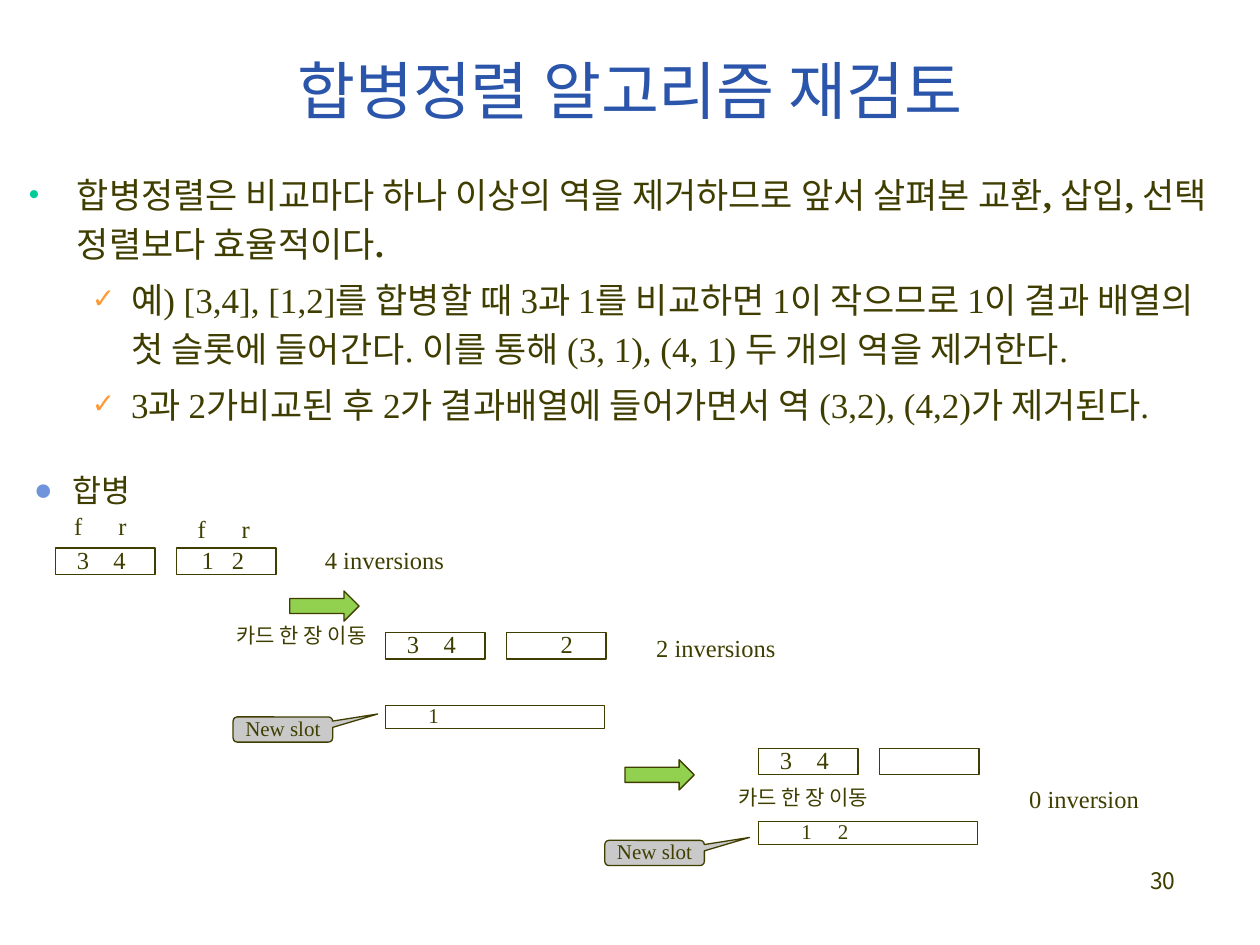
from lxml import etree
from pptx import Presentation
from pptx.dml.color import RGBColor
from pptx.enum.shapes import MSO_SHAPE
from pptx.enum.text import MSO_ANCHOR, MSO_AUTO_SIZE, PP_ALIGN
from pptx.oxml.ns import qn
from pptx.util import Inches, Pt

RECT = MSO_SHAPE.RECTANGLE
ARROW = MSO_SHAPE.RIGHT_ARROW
CALLOUT = MSO_SHAPE.ROUNDED_RECTANGULAR_CALLOUT
MIDDLE, TOP = MSO_ANCHOR.MIDDLE, MSO_ANCHOR.TOP
LEFT, CENTER, RIGHT = PP_ALIGN.LEFT, PP_ALIGN.CENTER, PP_ALIGN.RIGHT
NO_FIT, GROW = MSO_AUTO_SIZE.NONE, MSO_AUTO_SIZE.SHAPE_TO_FIT_TEXT

SERIF, SANS, KOREAN = "Times New Roman", "Arial", "Noto Sans CJK KR"
INK, BLUE, GREEN, GRAY = "3F3E00", "2A55AA", "92D050", "C9C9C9"
CELL_W, CELL_H, PITCH = 0.79, 0.21, 0.96
SLOT_W, SLOT_H = 1.74, 0.18


def rgb(color):
    return RGBColor.from_string(color)


def place(sp, x, y, w, h):
    sp.left, sp.top, sp.width, sp.height = (Inches(v) for v in (x, y, w, h))


def add_run(p, text, size=14, font=SERIF, color=INK, bold=None):
    r = p.add_run()
    r.text = text
    r.font.size = Pt(size)
    r.font.name = font
    r.font.color.rgb = rgb(color)
    r.font.bold = bold


def add_bullet(p, char, color, margin, hanging, scale=100):
    pPr = p._p.get_or_add_pPr()
    pPr.set("marL", str(Inches(margin)))
    pPr.set("indent", str(-Inches(hanging)))
    clr = etree.SubElement(pPr, qn("a:buClr"))
    etree.SubElement(clr, qn("a:srgbClr"), val=color)
    etree.SubElement(pPr, qn("a:buSzPct"), val=str(scale * 1000))
    etree.SubElement(pPr, qn("a:buFont"), typeface=SANS)
    etree.SubElement(pPr, qn("a:buChar"), char=char)


def add_tab(p, pos):
    tabs = etree.SubElement(p._p.get_or_add_pPr(), qn("a:tabLst"))
    etree.SubElement(tabs, qn("a:tab"), pos=str(Inches(pos)), algn="l")


def write(sp, text, align=LEFT, spacing=0.9, tab=None, **fmt):
    p = sp.text_frame.paragraphs[0]
    p.alignment = align
    p.line_spacing = spacing
    if tab:
        add_tab(p, tab)
    add_run(p, text, **fmt)
    return p


def add_label(slide, text, x, y, w, h=0.31, wrap=False, **fmt):
    sp = slide.shapes.add_textbox(*(Inches(v) for v in (x, y, w, h)))
    tf = sp.text_frame
    tf.word_wrap = wrap
    tf.auto_size = NO_FIT if wrap else GROW
    if wrap:
        tf.margin_right = 0
    return write(sp, text, **fmt)


def add_box(slide, kind, x, y, w, h, fill=None, text="", inset=0, **fmt):
    sp = slide.shapes.add_shape(kind, *(Inches(v) for v in (x, y, w, h)))
    sp.shadow.inherit = False
    if fill:
        sp.fill.solid()
        sp.fill.fore_color.rgb = rgb(fill)
    else:
        sp.fill.background()
    sp.line.color.rgb = rgb(INK)
    sp.line.width = Pt(0.75)
    if text:
        tf = sp.text_frame
        tf.word_wrap = True
        tf.margin_left = Inches(inset)
        tf.margin_top = tf.margin_right = tf.margin_bottom = 0
        tf.vertical_anchor = MIDDLE
        write(sp, text, **fmt)
    return sp


def add_pair(slide, x, y, second="", **fmt):
    add_box(slide, RECT, x, y, CELL_W, CELL_H, text="3\t4", inset=0.17, tab=0.29)
    add_box(slide, RECT, x + PITCH, y, CELL_W, CELL_H, text=second, **fmt)


def add_move(slide, arrow, caption, slot, callout, merged):
    add_box(slide, ARROW, *arrow, 0.55, 0.24, fill=GREEN)
    add_label(slide, "카드 한 장 이동", *caption, 1.35, 0.3,
              spacing=1.0, size=12, font=SANS)
    add_box(slide, RECT, *slot, SLOT_W, SLOT_H, text=merged, inset=0.34,
            tab=0.29, size=12)
    sp = add_box(slide, CALLOUT, *callout, CELL_W, 0.2, fill=GRAY,
                 text="New slot", align=CENTER, size=12)
    for i, value in enumerate((0.953, -0.617, 0.167)):
        sp.adjustments[i] = value


def fill_title(slide):
    title = slide.shapes.title
    place(title, 0.75, 0.25, 8.5, 0.92)
    title.text_frame.vertical_anchor = MIDDLE
    write(title, "합병정렬 알고리즘 재검토", align=CENTER, spacing=1.0,
          size=36, color=BLUE)


def fill_body(slide):
    body = slide.placeholders[1]
    place(body, 0.13, 1.27, 9.67, 2.27)
    tf = body.text_frame
    tf.auto_size = NO_FIT
    tf.vertical_anchor = TOP
    items = [
        (0, [("합병정렬은 비교마다 하나 이상의 역을 제거하므로 앞서 살펴본 교환", False),
             (", ", True), ("삽입", False), (", ", True),
             ("선택 정렬보다 효율적이다", False), (".", True)]),
        (1, [("예) [3,4], [1,2]를 합병할 때 3과 1를 비교하면 1이 작으므로 1이 결과 "
              "배열의 첫 슬롯에 들어간다. 이를 통해 (3, 1), (4, 1) 두 개의 역을 제거한다.",
              False)]),
        (1, [("3과 2가비교된 후 2가 결과배열에 들어가면서 역 (3,2), (4,2)가 제거된다.",
              False)]),
    ]
    bullets = [("•", "00CC99", 0.38, 0.38, 85), ("✓", "FF9933", 0.81, 0.31, 80)]
    for i, (level, runs) in enumerate(items):
        p = tf.add_paragraph() if i else tf.paragraphs[0]
        p.level = level
        p.line_spacing = Pt(28)
        p.space_before = Pt(4)
        add_bullet(p, *bullets[level])
        for text, bold in runs:
            add_run(p, text, size=20, bold=bold)


def main():
    prs = Presentation()
    prs.slide_width, prs.slide_height = Inches(10), Inches(7.5)
    slide = prs.slides.add_slide(prs.slide_layouts[1])
    fill_title(slide)
    fill_body(slide)

    p = add_label(slide, "합병", 0.17, 3.69, 1.02, 0.4, spacing=1.0,
                  size=18, font=SANS)
    add_bullet(p, "●", "7094DC", 0.31, 0.31)
    for x, y in ((0.49, 4.03), (1.47, 4.06)):
        add_label(slide, "f\tr", x, y, 0.62, wrap=True, tab=0.35)

    add_pair(slide, 0.44, 4.35, "1\t2", inset=0.2, tab=0.24)
    add_pair(slide, 3.06, 5.02, "2", inset=0.43)
    add_pair(slide, 6.02, 5.94)
    add_move(slide, (2.3, 4.69), (1.78, 4.89), (3.06, 5.6), (1.85, 5.69), "1")
    add_move(slide, (4.96, 6.03), (5.76, 6.18), (6.02, 6.52), (4.8, 6.67), "1\t2")

    add_label(slide, "4 inversions", 2.48, 4.3, 1.16)
    add_label(slide, "2 inversions", 5.11, 5, 1.16)
    add_label(slide, "0 inversion", 8.07, 6.2, 1.13)
    add_label(slide, "30", 7.33, 6.83, 2.0, 0.5, wrap=True, align=RIGHT,
              spacing=1.0, size=13, font=KOREAN)
    prs.save("out.pptx")


if __name__ == "__main__":
    main()
